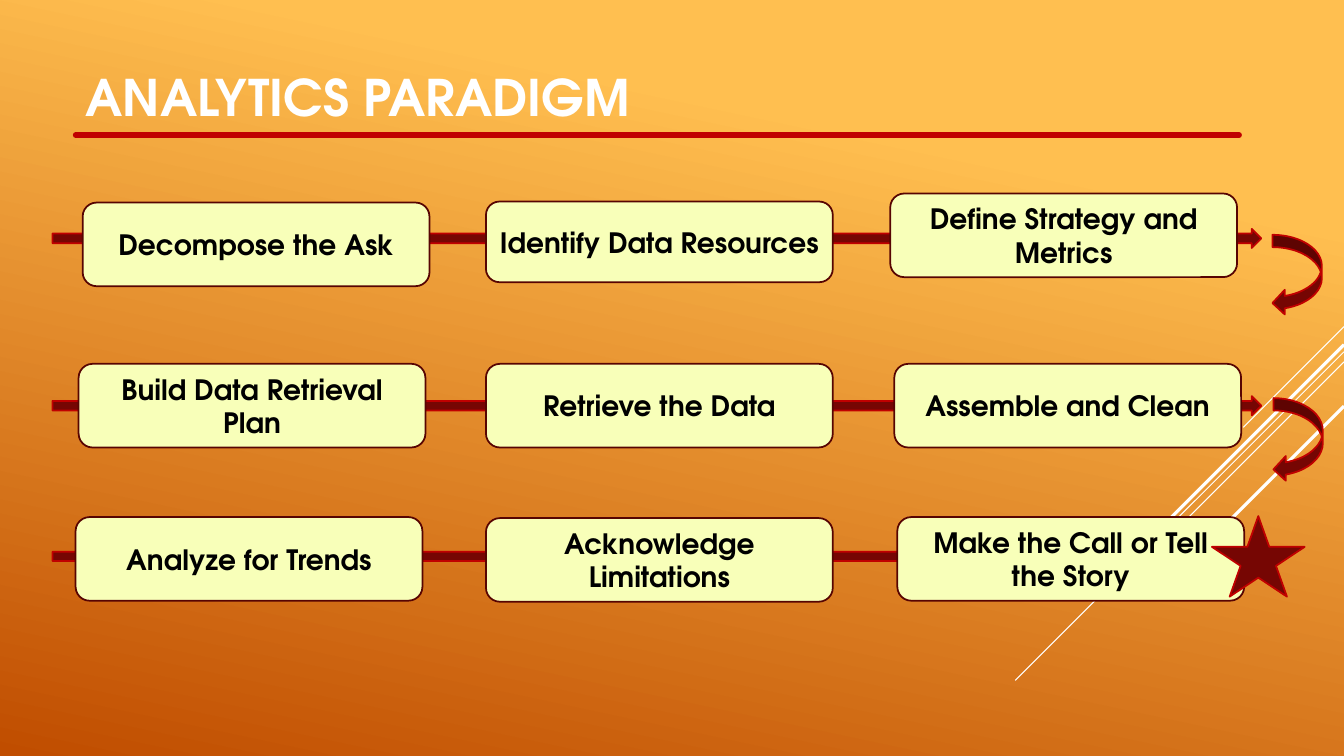
from lxml import etree
from pptx import Presentation
from pptx.dml.color import RGBColor
from pptx.enum.shapes import MSO_CONNECTOR, MSO_SHAPE
from pptx.enum.text import MSO_ANCHOR, PP_ALIGN
from pptx.oxml.ns import qn
from pptx.util import Inches, Pt

STRAIGHT = MSO_CONNECTOR.STRAIGHT
ROUNDED = MSO_SHAPE.ROUNDED_RECTANGLE
RIGHT_ARROW = MSO_SHAPE.RIGHT_ARROW
TURN_ARROW = MSO_SHAPE.CURVED_LEFT_ARROW
STAR = MSO_SHAPE.STAR_5_POINT
MIDDLE = MSO_ANCHOR.MIDDLE
CENTER = PP_ALIGN.CENTER

FONT = "TeX Gyre Adventor"
AMBER = RGBColor(0xFF, 0xBF, 0x50)
RUST = RGBColor(0xC0, 0x4D, 0x00)
MAROON = RGBColor(0x76, 0x06, 0x03)
RED = RGBColor(0xC0, 0x00, 0x00)
CREAM = RGBColor(0xF8, 0xFF, 0xB9)
BOX_EDGE = RGBColor(0x57, 0x04, 0x02)
BLACK = RGBColor(0x00, 0x00, 0x00)
WHITE = RGBColor(0xFF, 0xFF, 0xFF)

# Content
TITLE = "ANALYTICS PARADIGM"
SLIDE_W, SLIDE_H = 13.33, 7.5
BOX_W, BOX_H = 3.44, 0.83

# Diagonal rays from the right edge: start y, length across and down, width
RAYS = [(3.24, 1.0, 0.75), (3.49, 3.26, 0.75), (3.59, 2.07, 0.75),
        (3.42, 1.91, 2.25), (4.03, 1.39, 2.25)]

# Each row: arrow (top, width, height) and steps (text, left, top, height)
ROWS = [
    ((2.27, 11.99, 0.19), [("Decompose the Ask", 0.82, 2.01, BOX_H),
                           ("Identify Data Resources", 4.82, 2.0, 0.8),
                           ("Define Strategy and Metrics", 8.83, 1.92, BOX_H)]),
    ((3.93, 11.99, 0.19), [("Build Data Retrieval Plan", 0.78, 3.61, BOX_H),
                           ("Retrieve the Data", 4.82, 3.61, BOX_H),
                           ("Assemble and Clean", 8.87, 3.61, BOX_H)]),
    ((5.43, 12.1, 0.18), [("Analyze for Trends", 0.75, 5.13, BOX_H),
                          ("Acknowledge Limitations", 4.82, 5.14, BOX_H),
                          ("Make the Call or Tell the Story", 8.9, 5.13, BOX_H)]),
]
TURNS = [(12.62, 2.33, 0.49, 0.8), (12.63, 3.95, 0.49, 0.83)]
STAR_AT = (12.02, 5.12, 0.92, 0.8)

prs = Presentation()
prs.slide_width, prs.slide_height = Inches(SLIDE_W), Inches(SLIDE_H)
slide = prs.slides.add_slide(prs.slide_layouts[6])


def add_line(x1, y1, x2, y2, color, width):
    line = slide.shapes.add_connector(
        STRAIGHT, Inches(x1), Inches(y1), Inches(x2), Inches(y2))
    line.line.color.rgb = color
    line.line.width = Pt(width)
    etree.SubElement(line._element.spPr, qn("a:effectLst"))
    return line


def add_shape(kind, at, fill=MAROON, edge=RED):
    sp = slide.shapes.add_shape(kind, *map(Inches, at))
    sp.shadow.inherit = False
    sp.fill.solid()
    sp.fill.fore_color.rgb = fill
    sp.line.color.rgb = edge
    sp.line.width = Pt(1.25)
    return sp


def set_text(sp, text, size, color):
    tf = sp.text_frame
    tf.word_wrap = True
    tf.vertical_anchor = MIDDLE
    p = tf.paragraphs[0]
    p.text = text
    p.font.name, p.font.size, p.font.bold = FONT, Pt(size), True
    p.font.color.rgb = color
    return p


# Background
bg = slide.background.fill
bg.gradient()
bg.gradient_angle = 360 - 102  # counter-clockwise
for stop, position, color in zip(bg.gradient_stops, (0.22, 1), (AMBER, RUST)):
    stop.position = position
    stop.color.rgb = color

for y, reach, width in RAYS:
    add_line(SLIDE_W, y, SLIDE_W - reach, y + reach, WHITE, width)

# Row arrows and turns
for (top, width, height), _ in ROWS:
    add_shape(RIGHT_ARROW, (0.52, top, width, height))
for at in TURNS:
    add_shape(TURN_ARROW, at)

# Step boxes
for _, steps in ROWS:
    for text, left, top, height in steps:
        box = add_shape(ROUNDED, (left, top, BOX_W, height), CREAM, BOX_EDGE)
        set_text(box, text, 20, BLACK).alignment = CENTER

# Title, rule and closing star
rule = add_line(0.75, 1.34, 12.29, 1.34, RED, 4)
rule.line._get_or_add_ln().set("cap", "rnd")
title = slide.shapes.add_textbox(*map(Inches, (0.75, 0.6, 11.54, 0.71)))
set_text(title, TITLE, 36, WHITE)
add_shape(STAR, STAR_AT)

prs.save("out.pptx")
